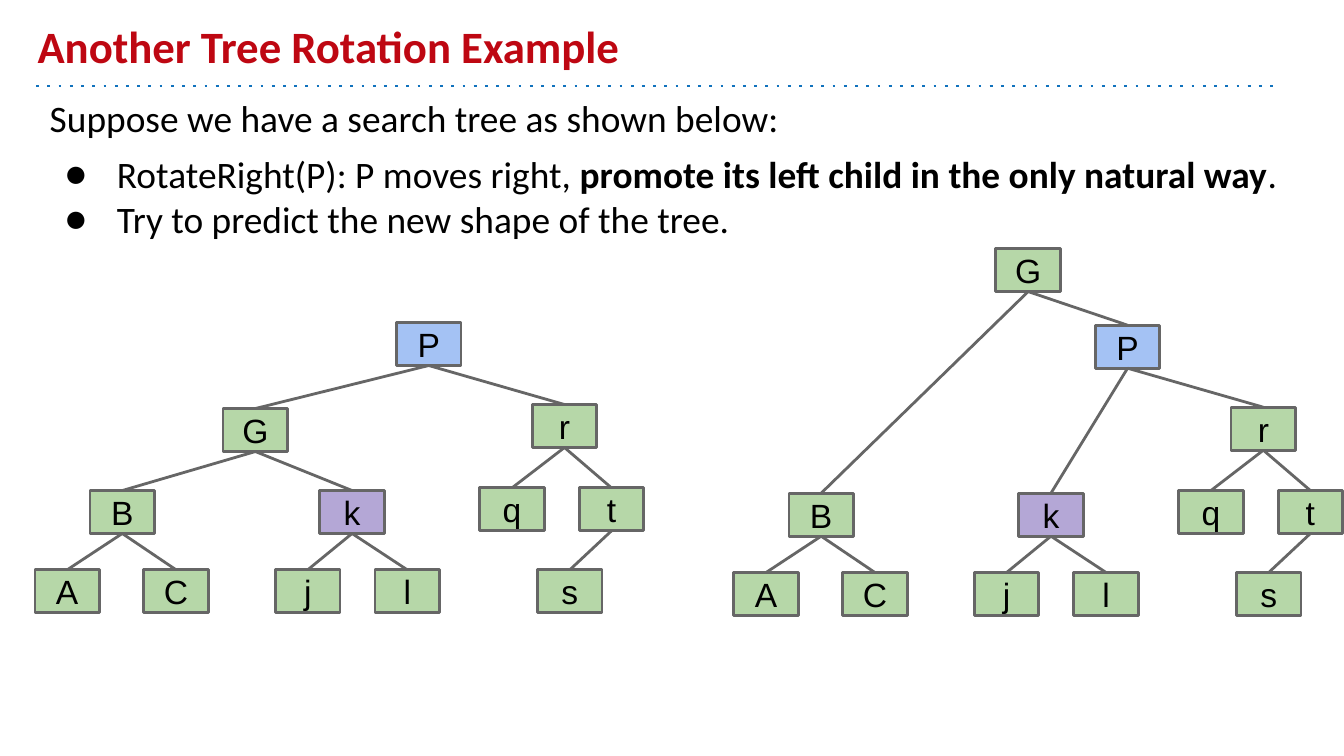
from dataclasses import dataclass, replace

from lxml.etree import SubElement
from pptx import Presentation
from pptx.dml.color import RGBColor
from pptx.enum.shapes import MSO_CONNECTOR, MSO_SHAPE
from pptx.enum.text import MSO_ANCHOR, MSO_AUTO_SIZE, PP_ALIGN
from pptx.oxml.ns import qn
from pptx.util import Inches, Pt

RED = RGBColor(0xBE, 0x07, 0x12)
RULE_BLUE = RGBColor(0x10, 0x72, 0xBD)
BLACK = RGBColor(0, 0, 0)
GRAY = RGBColor(0x66, 0x66, 0x66)
GREEN = RGBColor(0xB6, 0xD7, 0xA8)
BLUE = RGBColor(0xA4, 0xC2, 0xF4)
PURPLE = RGBColor(0xB4, 0xA7, 0xD6)

SLIDE_WIDTH = 10
SLIDE_HEIGHT = SLIDE_WIDTH * 9 / 16
NODE_WIDTH, NODE_HEIGHT = 0.48, 0.32
TREE_SHIFT_X, TREE_SHIFT_Y = 5.2, 0.02
TOP, BOTTOM = 0, 2
LEFT_INDENT, HANGING = 0.5, -0.39

TITLE_FONT = {"name": "Calibri", "size": Pt(24), "bold": True}
BODY_FONT = {"name": "Calibri", "size": Pt(20), "bold": False}
NODE_FONT = {"name": "Arial", "size": Pt(18)}
FRAME_FORMAT = {"word_wrap": True, "auto_size": MSO_AUTO_SIZE.NONE}
FRAME_FORMAT |= {f"margin_{side}": Inches(0.1) for side in ("left", "top", "right", "bottom")}


@dataclass(frozen=True)
class Node:
    label: str
    left: float
    top: float
    parent: str = ""
    fill: RGBColor = GREEN


@dataclass(frozen=True)
class BodyLine:
    runs: tuple[tuple[str, bool], ...]
    space_before: int = 0
    bullet: bool = True


BODY_LINES = (
    BodyLine((("Suppose we have a search tree as shown below:", False),), bullet=False),
    BodyLine((("RotateRight(P): P moves right, ", False),
              ("promote its left child in the only natural way", True),
              (".", False)), space_before=6),
    BodyLine((("Try to predict the new shape of the tree.", False),)),
)

TREE_BEFORE = (
    Node("P", 2.95, 2.4, fill=BLUE),
    Node("G", 1.66, 3.04, "P"),
    Node("r", 3.96, 3.01, "P"),
    Node("B", 0.67, 3.65, "G"),
    Node("k", 2.38, 3.65, "G", PURPLE),
    Node("q", 3.57, 3.63, "r"),
    Node("t", 4.31, 3.63, "r"),
    Node("A", 0.26, 4.24, "B"),
    Node("C", 1.07, 4.24, "B"),
    Node("j", 2.05, 4.24, "k"),
    Node("l", 2.79, 4.24, "k"),
    Node("s", 4, 4.24, "t"),
)
# The rotation lifts G to the root and hands k over to P
ROTATED = {
    "G": {"left": 7.41, "top": 1.85, "parent": ""},
    "P": {"parent": "G"},
    "k": {"parent": "P"},
}


def rotate_tree(nodes: tuple[Node, ...]) -> list[Node]:
    rotated = []
    for node in nodes:
        shifted = replace(node, left=node.left + TREE_SHIFT_X, top=node.top + TREE_SHIFT_Y)
        rotated.append(replace(shifted, **ROTATED.get(node.label, {})))
    return rotated


def set_attributes(target, values: dict) -> None:
    for name, value in values.items():
        setattr(target, name, value)


def place(shape, left: float, top: float, width: float, height: float) -> None:
    shape.left, shape.top = Inches(left), Inches(top)
    shape.width, shape.height = Inches(width), Inches(height)


def add_run(paragraph, text: str, font_format: dict, color: RGBColor = BLACK) -> None:
    run = paragraph.add_run()
    run.text = text
    set_attributes(run.font, font_format)
    run.font.color.rgb = color


def set_bullet(paragraph, visible: bool) -> None:
    properties = paragraph._p.get_or_add_pPr()
    properties.set("marL", str(Inches(LEFT_INDENT) if visible else 0))
    properties.set("indent", str(Inches(HANGING) if visible else 0))
    if visible:
        color = SubElement(properties, qn("a:buClr"))
        SubElement(color, qn("a:srgbClr"), val=str(BLACK))
        SubElement(properties, qn("a:buFont"), typeface="Calibri")
        SubElement(properties, qn("a:buChar"), char="●")
    else:
        SubElement(properties, qn("a:buNone"))


def add_line(slide, start: tuple[float, float], end: tuple[float, float], color: RGBColor):
    points = [Inches(value) for value in (*start, *end)]
    connector = slide.shapes.add_connector(MSO_CONNECTOR.STRAIGHT, *points)
    connector.line.color.rgb = color
    connector.line.width = Pt(1.5)
    SubElement(connector._element.spPr, qn("a:effectLst"))
    return connector


def add_node(slide, node: Node):
    shape = slide.shapes.add_shape(
        MSO_SHAPE.RECTANGLE, Inches(node.left), Inches(node.top),
        Inches(NODE_WIDTH), Inches(NODE_HEIGHT))
    shape.shadow.inherit = False
    shape.fill.solid()
    shape.fill.fore_color.rgb = node.fill
    shape.line.color.rgb = GRAY
    shape.line.width = Pt(1.5)
    set_attributes(shape.text_frame, FRAME_FORMAT | {"vertical_anchor": MSO_ANCHOR.MIDDLE})
    paragraph = shape.text_frame.paragraphs[0]
    paragraph.alignment = PP_ALIGN.CENTER
    add_run(paragraph, node.label, NODE_FONT)
    return shape


def add_tree(slide, nodes) -> None:
    shapes = {node.label: add_node(slide, node) for node in nodes}
    for node in nodes:
        if node.parent:
            edge = add_line(slide, (0, 0), (1, 1), GRAY)
            edge.begin_connect(shapes[node.parent], BOTTOM)
            edge.end_connect(shapes[node.label], TOP)


def add_title(slide) -> None:
    title = slide.shapes.title
    place(title, 0.18, 0.1, 9, 0.54)
    set_attributes(title.text_frame, FRAME_FORMAT | {"vertical_anchor": MSO_ANCHOR.BOTTOM})
    paragraph = title.text_frame.paragraphs[0]
    paragraph.alignment = PP_ALIGN.LEFT
    add_run(paragraph, "Another Tree Rotation Example", TITLE_FONT, RED)


def add_body(slide) -> None:
    body = slide.placeholders[1]
    place(body, 0.27, 0.61, 9.73, 1.31)
    frame = body.text_frame
    set_attributes(frame, FRAME_FORMAT | {"vertical_anchor": MSO_ANCHOR.TOP})
    for index, line in enumerate(BODY_LINES):
        paragraph = frame.add_paragraph() if index else frame.paragraphs[0]
        paragraph.space_before = Pt(line.space_before)
        set_bullet(paragraph, line.bullet)
        for text, bold in line.runs:
            add_run(paragraph, text, BODY_FONT | {"bold": bold})


def main() -> None:
    presentation = Presentation()
    presentation.slide_width = Inches(SLIDE_WIDTH)
    presentation.slide_height = Inches(SLIDE_HEIGHT)
    slide = presentation.slides.add_slide(presentation.slide_layouts[1])

    # Heading with its dotted rule
    add_title(slide)
    rule = add_line(slide, (0.27, 0.64), (9.5, 0.64), RULE_BLUE)
    SubElement(rule._element.spPr.find(qn("a:ln")), qn("a:prstDash"), val="dot")

    # Explanation
    add_body(slide)

    # Trees before and after the rotation
    add_tree(slide, TREE_BEFORE)
    add_tree(slide, rotate_tree(TREE_BEFORE))

    presentation.save("out.pptx")


if __name__ == "__main__":
    main()
